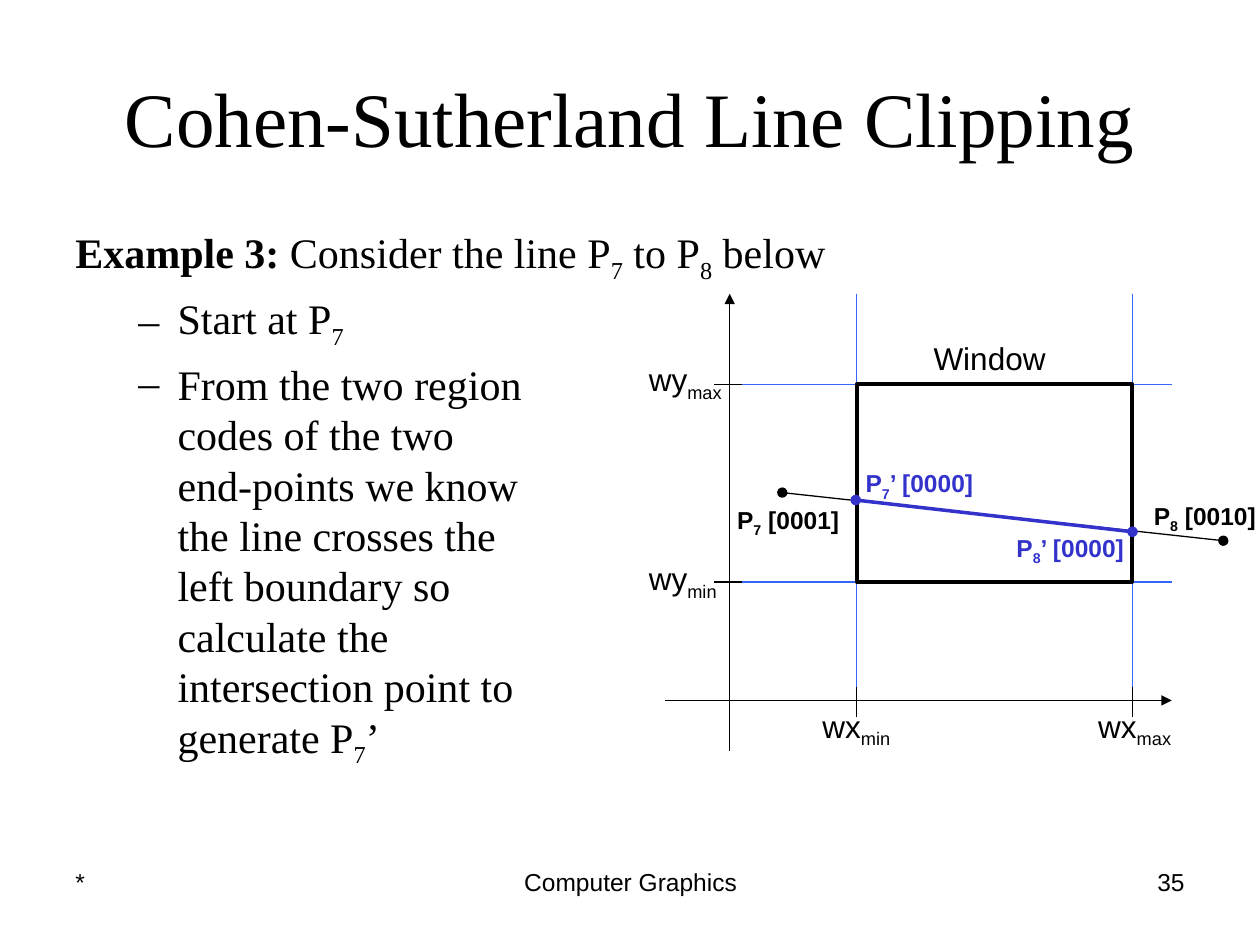
from pptx import Presentation
from pptx.dml.color import RGBColor
from pptx.enum.shapes import MSO_CONNECTOR as Link, MSO_SHAPE as Kind
from pptx.enum.text import MSO_ANCHOR as Anchor, PP_ALIGN as Align
from pptx.oxml.ns import qn
from pptx.util import Cm, Pt
from lxml.etree import SubElement

BLACK, BLUE, GRID = "000000", "3333CC", "3366FF"
SERIF, SANS = "Times New Roman", "Arial"

# Text between bars is subscript.
TITLE = "Cohen-Sutherland Line Clipping"
LEAD = ("Example 3: ", "Consider the line P|7| to P|8| below")
POINTS = [
    "Start at P|7|",
    "From the two region \ncodes of the two \nend-points we know \n"
    "the line crosses the \nleft boundary so \ncalculate the \n"
    "intersection point to \ngenerate P|7|’",
]
FOOTER = [
    ("*", 1.27, 5.92, Align.LEFT),
    ("Computer Graphics", 8.69, 8.05, Align.CENTER),
    ("35", 18.21, 5.92, Align.RIGHT),
]

LEFT, RIGHT, TOP, BASE = 17.27, 22.83, 7.75, 11.73
AXIS_X, AXIS_Y = 14.71, 14.12
HEAD_X, HEAD_Y = 23.62, 5.92
TICK_X, TICK_Y = (14.4, 14.96), (13.84, 14.45)
ENDS = (15.77, 9.93), (24.66, 10.9)
CUTS = (17.25, 10.08), (22.83, 10.72)
DOT = 0.2

NAMES = [
    ("wy|max|", 12.83, 7.14, 2.08),
    ("wy|min|", 12.83, 11.15, 1.96),
    ("wx|min|", 16.33, 14.12, 1.96),
    ("wx|max|", 21.89, 14.12, 2.08),
    ("Window", 18.57, 6.71, 2.77),
]
CODES = [
    ("P|7|’ [0000]", 17.2, 9.32, 2.72, BLUE),
    ("P|7| [0001]", 14.61, 10.06, 2.57, BLACK),
    ("P|8| [0010]", 23.01, 9.98, 2.57, BLACK),
    ("P|8|’ [0000]", 20.24, 10.62, 2.72, BLUE),
]

deck = Presentation()
deck.slide_width, deck.slide_height = Cm(25.4), Cm(19.05)
slide = deck.slides.add_slide(deck.slide_layouts[6])
shapes = slide.shapes


def tint(code):
    return RGBColor.from_string(code)


def write(para, text, size, face=SANS, color=BLACK, bold=False):
    for part, words in enumerate(text.split("|")):
        for row, line in enumerate(words.split("\n")):
            if row:
                para.add_line_break()
            if not line:
                continue
            run = para.add_run()
            run.text = line
            font = run.font
            font.size, font.name, font.bold = Pt(size), face, bold
            font.color.rgb = tint(color)
            if part % 2:
                run._r.get_or_add_rPr().set("baseline", "-25000")


def box(x, y, w, h, wrap=True):
    frame = shapes.add_textbox(Cm(x), Cm(y), Cm(w), Cm(h)).text_frame
    frame.word_wrap = wrap
    return frame


def indent(para, left, hang):
    props = para._p.get_or_add_pPr()
    props.set("marL", str(Cm(left)))
    props.set("indent", str(Cm(-hang)))
    return props


def draw(start, end, color=BLACK, width=0.75, head=None, tail=None):
    line = shapes.add_connector(Link.STRAIGHT, *map(Cm, start + end))
    line.line.color.rgb = tint(color)
    line.line.width = Pt(width)
    stroke = line.line._get_or_add_ln()
    for tag, tip in (("a:headEnd", head), ("a:tailEnd", tail)):
        if tip:
            SubElement(stroke, qn(tag), type=tip)
    SubElement(line._element.spPr, qn("a:effectLst"))


def shape(kind, x, y, w, h):
    item = shapes.add_shape(kind, Cm(x), Cm(y), Cm(w), Cm(h))
    item.shadow.inherit = False
    return item


for text, x, w, align in FOOTER:
    para = box(x, 17.35, w, 1.32).paragraphs[0]
    para.alignment = align
    write(para, text, 14)

frame = box(1.27, 0.76, 22.86, 3.18)
frame.vertical_anchor = Anchor.MIDDLE
para = frame.paragraphs[0]
para.alignment = Align.CENTER
write(para, TITLE, 44, SERIF)

frame = box(1.27, 4.45, 22.86, 12.57)
para = frame.paragraphs[0]
indent(para, 0.95, 0.95)
write(para, LEAD[0], 24, SERIF, bold=True)
write(para, LEAD[1], 24, SERIF)
for text in POINTS:
    para = frame.add_paragraph()
    para.level = 1
    para.space_before = Pt(4.8)
    props = indent(para, 2.06, 0.79)
    SubElement(props, qn("a:buFont"), typeface=SERIF)
    SubElement(props, qn("a:buChar"), char="–")
    write(para, text, 24, SERIF)

for x in (LEFT, RIGHT):
    draw((x, HEAD_Y), (x, TICK_Y[0]), GRID)
for y in (TOP, BASE):
    draw((HEAD_X, y), (TICK_X[1], y), GRID)

draw((13.41, AXIS_Y), (HEAD_X, AXIS_Y), tail="triangle")
draw((AXIS_X, 15.14), (AXIS_X, HEAD_Y), tail="triangle")

window = shape(Kind.RECTANGLE, LEFT, TOP, RIGHT - LEFT, BASE - TOP)
window.fill.background()
window.line.color.rgb = tint(BLACK)
window.line.width = Pt(2.25)

for y in (TOP, BASE):
    draw((TICK_X[1], y), (TICK_X[0], y))
for x in (LEFT, RIGHT):
    draw((x, TICK_Y[0]), (x, TICK_Y[1]))

for text, x, y, w in NAMES:
    write(box(x, y, w, 1.02, False).paragraphs[0], text, 18)

draw(*ENDS, head="oval", tail="oval")
for text, x, y, w, color in CODES:
    para = box(x, y, w, 0.84, False).paragraphs[0]
    write(para, text, 14, color=color, bold=True)

for x, y in CUTS:
    dot = shape(Kind.OVAL, x - DOT / 2, y - DOT / 2, DOT, DOT)
    dot.fill.solid()
    dot.fill.fore_color.rgb = tint(BLUE)
    dot.line.fill.background()
draw(*CUTS, BLUE, 2, "oval", "oval")

deck.save("out.pptx")
